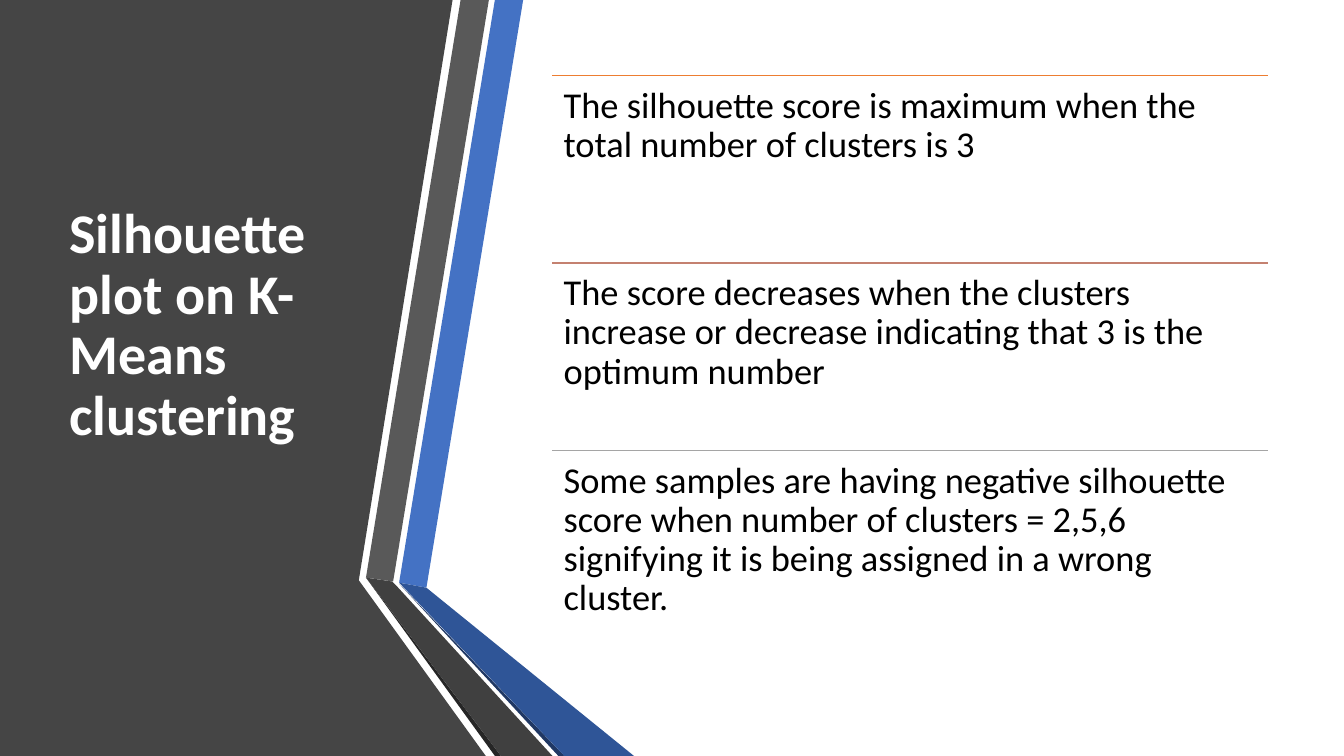
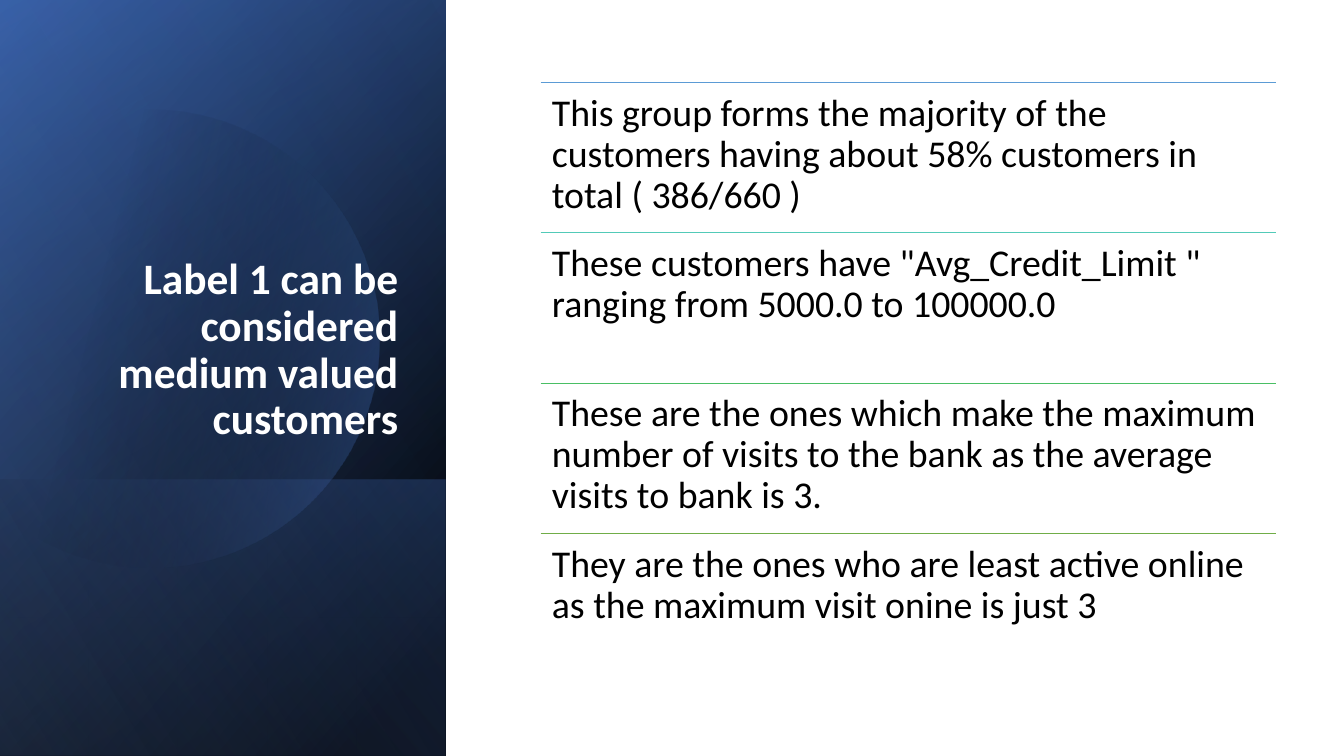
from dataclasses import dataclass
from math import acos, cos, sin

from lxml.etree import SubElement
from pptx import Presentation
from pptx.dml.color import RGBColor
from pptx.enum.shapes import MSO_CONNECTOR, MSO_SHAPE
from pptx.enum.text import MSO_ANCHOR, MSO_AUTO_SIZE, PP_ALIGN
from pptx.oxml.ns import qn
from pptx.util import Pt


@dataclass(frozen=True)
class Theme:
    font: str = "Calibri"
    title_color: str = "FFFFFF"
    text_color: str = "000000"
    panel: str = "454545"
    gray: str = "595959"
    gray_fold: str = "404040"
    gray_edge: str = "262626"
    blue: str = "4472C4"
    blue_fold: str = "2F5597"
    blue_edge: str = "203864"
    blue_light: str = "8FAADC"
    black: str = "000000"
    line_spacing: float = 0.9
    row_inset: float = 8


theme = Theme()
SLIDE_WIDTH, SLIDE_HEIGHT = 960, 540


def add_outline(slide, points):
    """Add a closed polygon whose corners are given in points."""
    corners = [(Pt(x), Pt(y)) for x, y in points]
    builder = slide.shapes.build_freeform(*corners[0], scale=1.0)
    builder.add_line_segments(corners[1:], close=True)
    shape = builder.convert_to_shape()
    shape.shadow.inherit = False
    shape.line.fill.background()
    return shape


def write_text(shape, text, size, color, bold=False, align=PP_ALIGN.LEFT,
               anchor=MSO_ANCHOR.TOP):
    frame = shape.text_frame
    frame.word_wrap = True
    frame.auto_size = MSO_AUTO_SIZE.NONE
    frame.vertical_anchor = anchor
    paragraph = frame.paragraphs[0]
    paragraph.alignment = align
    paragraph.line_spacing = theme.line_spacing
    run = paragraph.add_run()
    run.text = text
    run.font.name = theme.font
    run.font.size = Pt(size)
    run.font.bold = bold
    run.font.color.rgb = RGBColor.from_string(color)


presentation = Presentation()
presentation.slide_width = Pt(SLIDE_WIDTH)
presentation.slide_height = Pt(SLIDE_HEIGHT)
title_only = presentation.slide_layouts[5]
silhouette_slide = presentation.slides.add_slide(title_only)
customer_slide = presentation.slides.add_slide(title_only)

# Folded ribbons beside the dark panel
ribbons = [
    (theme.panel, [(0, 0), (323.3, 0), (256.3, 414.5), (347, 540), (0, 540)]),
    (theme.blue, [(285.1, 416.2), (304.6, 419.8), (373.7, 0), (353.5, 0)]),
    (theme.gray, [(349.2, 0), (329, 0), (261.4, 412.6), (280.8, 415.4)]),
    (theme.gray_edge, [(261.4, 412.6), (353.5, 540), (357.8, 540)]),
    (theme.blue_edge, [(285.1, 416.9), (398.9, 540), (403.2, 540)]),
    (theme.blue_fold, [(285.1, 416.2), (403.2, 540), (452.9, 540), (304.6, 419.8)]),
    (theme.gray_fold, [(261.4, 412.6), (357.8, 540), (394.6, 540), (284.4, 419.8),
                       (280.1, 415.4)]),
]
for color, points in ribbons:
    ribbon = add_outline(silhouette_slide, points)
    ribbon.fill.solid()
    ribbon.fill.fore_color.rgb = RGBColor.from_string(color)

# Gradient panel: top edge (None for the disc), clockwise angle,
# then (position %, colour, opacity %) for each stop
PANEL_WIDTH, BAND_TOP = 318.5, 342.8
layers = [
    (0, 220, [(8, theme.black, 100), (100, theme.blue_fold, 100)]),
    (0, 240, [(0, theme.black, 0), (99, theme.blue, 46)]),
    (BAND_TOP, 140, [(2, theme.blue, 29), (100, theme.black, 30)]),
    (None, 14, [(29, theme.black, 0), (100, theme.blue, 43)]),
    (0, 150, [(0, theme.black, 0), (99, theme.blue_light, 11)]),
]
disc_x, disc_y, disc_radius, disc_steps = 107.5, 242, 163.5, 120
disc_limit = acos(-disc_x / disc_radius)
disc_angles = [disc_limit * (2 * step / disc_steps - 1) for step in range(disc_steps + 1)]
disc_points = [(disc_x + disc_radius * cos(angle), disc_y + disc_radius * sin(angle))
               for angle in disc_angles]

for top, angle, stops in layers:
    if top is None:
        layer = add_outline(customer_slide, disc_points)
    else:
        layer = customer_slide.shapes.add_shape(
            MSO_SHAPE.RECTANGLE, 0, Pt(top), Pt(PANEL_WIDTH), Pt(SLIDE_HEIGHT - top))
        layer.shadow.inherit = False
        layer.line.fill.background()
    layer.fill.gradient()
    layer.fill.gradient_angle = 360 - angle
    for gradient_stop, (position, color, opacity) in zip(layer.fill.gradient_stops, stops):
        gradient_stop.position = position / 100
        gradient_stop.color.rgb = RGBColor.from_string(color)
    for color_element, (position, color, opacity) in zip(
            layer.element.iter(qn("a:srgbClr")), stops):
        SubElement(color_element, qn("a:alpha")).set("val", str(opacity * 1000))

# Titles and ruled rows
contents = [
    dict(
        slide=silhouette_slide,
        title="Silhouette plot on K-Means clustering",
        title_box=(42.5, 54, 219, 358), title_size=40,
        title_align=PP_ALIGN.LEFT, title_anchor=MSO_ANCHOR.MIDDLE,
        left=394.6, top=54, width=511.2, row_height=133.9, text_size=26, rule_width=1,
        rows=[
            ("ED7D31", "The silhouette score is maximum when the total number of "
                       "clusters is 3"),
            ("C48170", "The score decreases when the clusters increase or decrease "
                       "indicating that 3 is the optimum number"),
            ("A5A5A5", "Some samples are having negative silhouette score when number "
                       "of clusters = 2,5,6 signifying it is being assigned in a wrong "
                       "cluster."),
        ],
    ),
    dict(
        slide=customer_slide,
        title="Label 1 can be considered medium valued customers",
        title_box=(46, 132.5, 245.5, 188.5), title_size=31,
        title_align=PP_ALIGN.RIGHT, title_anchor=MSO_ANCHOR.BOTTOM,
        left=386.2, top=59, width=525, row_height=107.3, text_size=27, rule_width=0.5,
        rows=[
            ("5B9BD5", "This group forms the majority of the customers having about "
                       "58% customers in total ( 386/660 )"),
            ("52CAB8", 'These customers have "Avg_Credit_Limit " ranging from 5000.0 '
                       "to 100000.0"),
            ("49BF64", "These are the ones which make the maximum number of visits to "
                       "the bank as the average visits to bank is 3."),
            ("70AD47", "They are the ones who are least active online as the maximum "
                       "visit onine is just 3"),
        ],
    ),
]
for content in contents:
    shapes = content["slide"].shapes
    title = shapes.title
    title.left, title.top, title.width, title.height = map(Pt, content["title_box"])
    write_text(title, content["title"], content["title_size"], theme.title_color, True,
               content["title_align"], content["title_anchor"])
    title.element.getparent().append(title.element)  # in front of the panel

    left, width, height = content["left"], content["width"], content["row_height"]
    for index, (rule_color, text) in enumerate(content["rows"]):
        top = content["top"] + index * height
        rule = shapes.add_connector(MSO_CONNECTOR.STRAIGHT, Pt(left), Pt(top),
                                    Pt(left + width), Pt(top))
        rule.line.color.rgb = RGBColor.from_string(rule_color)
        rule.line.width = Pt(content["rule_width"])
        SubElement(rule.element.spPr, qn("a:effectLst"))

        row = shapes.add_textbox(Pt(left), Pt(top), Pt(width), Pt(height))
        frame = row.text_frame
        frame.margin_left = frame.margin_right = Pt(theme.row_inset)
        frame.margin_top = frame.margin_bottom = Pt(theme.row_inset)
        write_text(row, text, content["text_size"], theme.text_color)

presentation.save("out.pptx")
